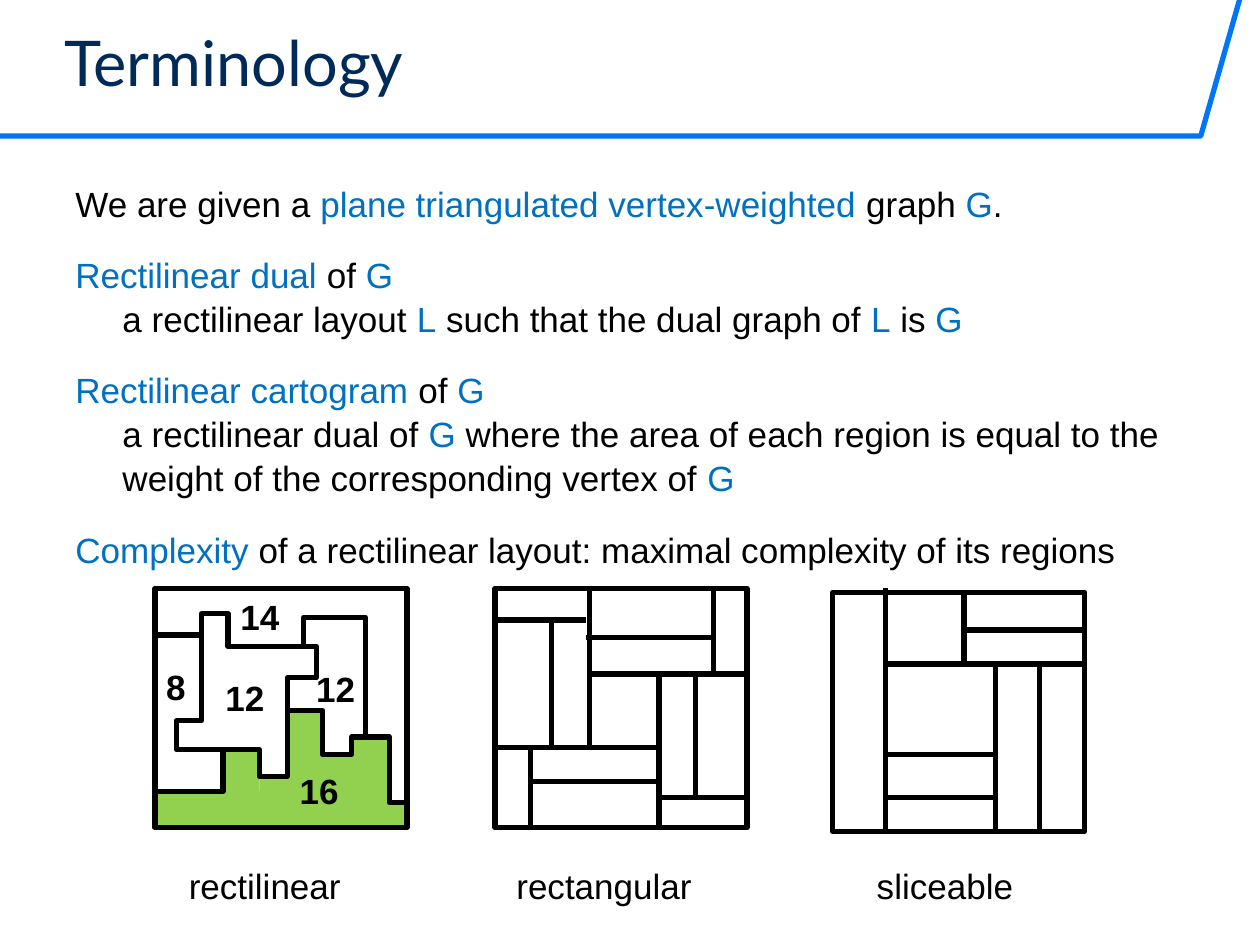
from dataclasses import dataclass

from lxml.etree import SubElement
from pptx import Presentation
from pptx.dml.color import RGBColor as RGB
from pptx.enum.shapes import MSO_CONNECTOR as CONN, MSO_SHAPE as SHAPE
from pptx.enum.text import MSO_ANCHOR as ANCHOR
from pptx.oxml.ns import qn
from pptx.util import Cm, Pt


@dataclass(frozen=True)
class Theme:
    rule: RGB = RGB(0x00, 0x75, 0xF6)
    title: RGB = RGB(0x00, 0x2A, 0x58)
    term: RGB = RGB(0x00, 0x70, 0xC0)
    ink: RGB = RGB(0, 0, 0)
    region: RGB = RGB(0x92, 0xD0, 0x50)
    title_size: Pt = Pt(36)
    text_size: Pt = Pt(20)
    stroke: Pt = Pt(3)
    title_font: str = "Lato"
    text_font: str = "Arial"


theme = Theme()


def lengths(*inches):
    return [Cm(2.54 * v) for v in inches]


def add_outline(points, color, close=False):
    """Draw an unfilled path through points given in inches."""
    corners = [lengths(*pt) for pt in points]
    builder = s.shapes.build_freeform(*corners[0])
    builder.add_line_segments(corners[1:], close=close)
    sp = builder.convert_to_shape()
    sp.shadow.inherit = False
    sp.fill.background()
    sp.line.color.rgb = color
    sp.line.width = theme.stroke


prs = Presentation()
prs.slide_width, prs.slide_height = lengths(10, 7.5)
s = prs.slides.add_slide(prs.slide_layouts[6])

# Title and its rule
add_outline([(0, 1.08), (9.53, 1.08), (9.84, -0.01)], theme.rule)
tf = s.shapes.add_textbox(*lengths(0.51, 0, 8.62, 0.98)).text_frame
tf.margin_left = tf.margin_top = tf.margin_right = tf.margin_bottom = 0
tf.word_wrap = True
tf.vertical_anchor = ANCHOR.MIDDLE
tf.text = "Terminology"
font = tf.paragraphs[0].runs[0].font
font.name, font.size, font.color.rgb = theme.title_font, theme.title_size, theme.title

# Green region of the rectilinear layout
for box in [
    (2.81, 5.83, 0.28, 0.74),
    (2.81, 6.37, 0.43, 0.2),
    (2.52, 5.99, 0.39, 0.22),
    (2.29, 5.63, 0.28, 0.94),
    (2.06, 6.16, 1, 0.41),
    (1.78, 5.94, 0.28, 0.63),
    (1.22, 6.28, 1.83, 0.3),
]:
    sp = s.shapes.add_shape(SHAPE.RECTANGLE, *lengths(*box))
    sp.shadow.inherit = False
    sp.fill.solid()
    sp.fill.fore_color.rgb = theme.region
    sp.line.fill.background()

# Definitions: terms stand between asterisks
definitions = [
    "We are given a *plane triangulated vertex-weighted *graph *G*.",
    "*Rectilinear dual *of *G*\na rectilinear layout *L* such that the dual graph of *L* is *G",
    "*Rectilinear cartogram *of *G*\na rectilinear dual of *G* where the area of each region "
    "is equal to the weight of the corresponding vertex of *G",
    "*Complexity* of a rectilinear layout: maximal complexity of its regions",
]
tf = s.shapes.add_textbox(*lengths(0.5, 1.38, 9, 3.1)).text_frame
tf.word_wrap = True
for n, definition in enumerate(definitions):
    p = tf.add_paragraph() if n else tf.paragraphs[0]
    p.line_spacing = 1.05
    if n:
        p.space_before = Pt(15.5)
    pPr = p._p.get_or_add_pPr()
    pPr.set("marL", str(Cm(0.95)))
    pPr.set("indent", str(-Cm(0.95)))
    for i, piece in enumerate(definition.split("*")):
        if piece.startswith("\n"):
            p.add_line_break()
        if piece:
            r = p.add_run()
            r.text = piece.lstrip("\n")
            r.font.name, r.font.size = theme.text_font, theme.text_size
            r.font.color.rgb = theme.term if i % 2 else theme.ink

# Region weights and layout captions
for text, left, top, width, bold in [
    ("16", 2.28, 6.06, 0.51, True),
    ("8", 1.22, 5.23, 0.35, True),
    ("12", 1.69, 5.32, 0.51, True),
    ("14", 1.81, 4.68, 0.51, True),
    ("12", 2.41, 5.25, 0.51, True),
    ("rectilinear", 1.4, 6.81, 1.41, False),
    ("rectangular", 4, 6.81, 1.6, False),
    ("sliceable", 6.86, 6.81, 1.29, False),
]:
    tf = s.shapes.add_textbox(*lengths(left, top, width, 0.44)).text_frame
    tf.word_wrap = False
    tf.text = text
    font = tf.paragraphs[0].runs[0].font
    font.name, font.size, font.bold = theme.text_font, theme.text_size, bold
    font.color.rgb = theme.ink

# Frames of the three layouts
for left, top in [(1.23, 4.67), (3.93, 4.67), (6.61, 4.7)]:
    sp = s.shapes.add_shape(SHAPE.RECTANGLE, *lengths(left, top, 2, 1.9))
    sp.shadow.inherit = False
    sp.fill.background()
    sp.line.color.rgb = theme.ink
    sp.line.width = theme.stroke

# Rectilinear borders
add_outline([
    (1.6, 5.72), (1.6, 4.87), (1.81, 4.87), (1.81, 5.13), (2.51, 5.13), (2.51, 5.38),
    (2.28, 5.38), (2.28, 6.16), (2.06, 6.16), (2.06, 5.95), (1.4, 5.95), (1.4, 5.72),
], theme.ink, close=True)
for border in [
    [(1.77, 5.94), (1.77, 6.28), (1.22, 6.28)],
    [(2.41, 5.11), (2.41, 4.9), (2.9, 4.9), (2.9, 5.83)],
    [(2.28, 5.64), (2.56, 5.64), (2.56, 5.99), (2.79, 5.99),
     (2.79, 5.85), (3.09, 5.85), (3.09, 6.37), (3.23, 6.37)],
]:
    add_outline(border, theme.ink)

# Straight borders: (y, x from, x to) and (x, y from, y to)
horizontals = [
    (5.04, 1.24, 1.61),
    (5.93, 3.93, 5.23), (5.35, 4.68, 5.94), (4.92, 3.93, 4.65),
    (6.2, 4.21, 5.23), (5.06, 4.65, 5.66), (6.33, 5.23, 5.94),
    (5.27, 7.03, 8.61), (5.99, 7.03, 7.9), (5, 7.65, 8.61), (6.33, 7.03, 7.9),
]
verticals = [
    (4.68, 4.67, 5.94), (5.23, 5.35, 6.57), (4.38, 4.92, 5.93),
    (4.21, 5.93, 6.56), (5.66, 4.68, 5.33), (5.52, 5.35, 6.33),
    (7.03, 4.67, 6.6), (7.9, 5.27, 6.6), (8.25, 5.27, 6.6), (7.65, 4.7, 5.25),
]
segments = [(x1, y, x2, y) for y, x1, x2 in horizontals]
segments += [(x, y1, x, y2) for x, y1, y2 in verticals]
for segment in segments:
    line = s.shapes.add_connector(CONN.STRAIGHT, *lengths(*segment))
    line.line.color.rgb = theme.ink
    line.line.width = theme.stroke
    SubElement(line._element.spPr, qn("a:effectLst"))

prs.save("out.pptx")
